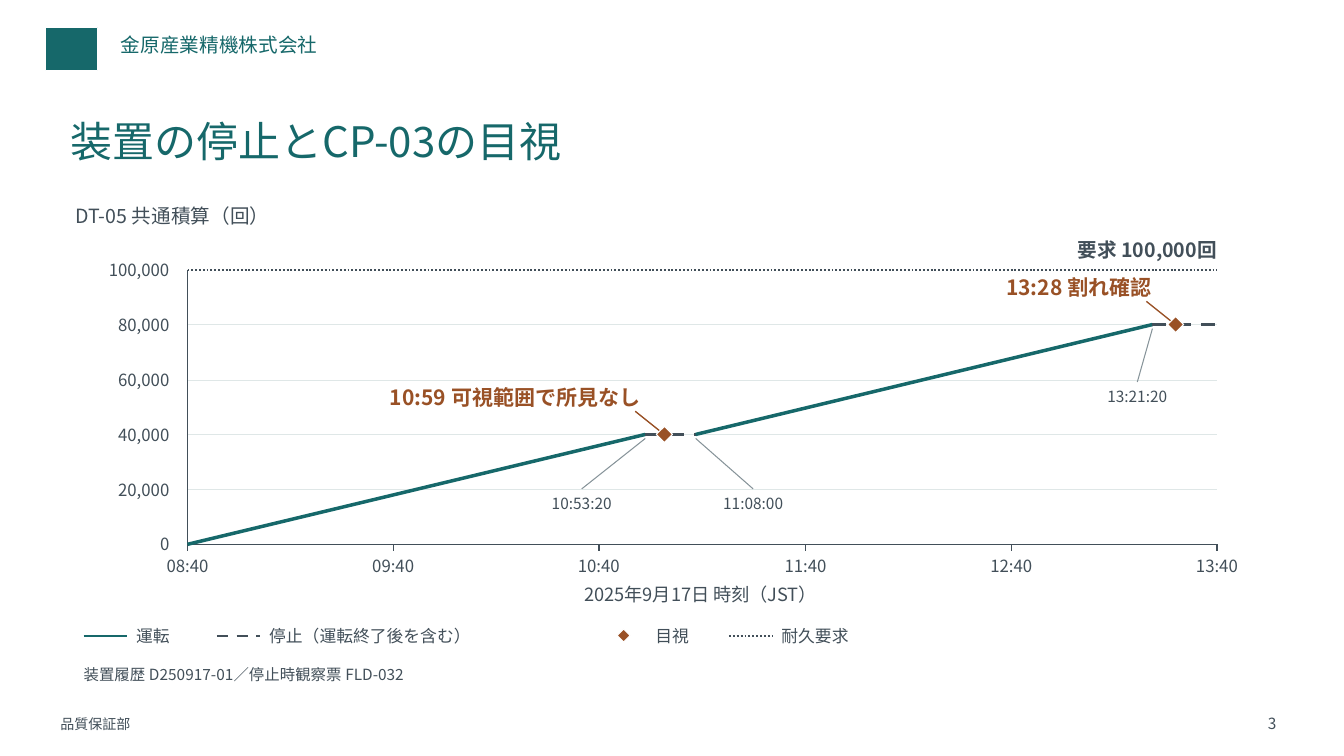
import pptx
import pptx.util
import pptx.dml.color
import pptx.enum.dml
import pptx.enum.shapes
import pptx.enum.text
import pptx.oxml
import pptx.oxml.ns

FONT = "Noto Sans CJK JP"
TEAL, SLATE, RUST = "16686A", "424F59", "995126"
GRID, LEADER, WHITE = "DFE7E7", "869399", "FFFFFF"
DASH = pptx.enum.dml.MSO_LINE.DASH
DOTS = pptx.enum.dml.MSO_LINE.ROUND_DOT
ALIGN = pptx.enum.text.PP_ALIGN
ANCHOR = pptx.enum.text.MSO_ANCHOR
SHAPES = pptx.enum.shapes.MSO_SHAPE

PX = 9144
PLOT_LEFT, PLOT_TOP, PLOT_WIDTH, PLOT_HEIGHT = 186, 268, 1021, 272
PLOT_RIGHT, PLOT_BOTTOM = PLOT_LEFT + PLOT_WIDTH, PLOT_TOP + PLOT_HEIGHT
MAX_COUNT = 100000

hours = ["08:40", "09:40", "10:40", "11:40", "12:40", "13:40"]
counts = range(0, MAX_COUNT + 1, 20000)
phases = [
    ("08:40:00", 0, "10:53:20", 40000, TEAL, None),
    ("10:53:20", 40000, "11:08:00", 40000, SLATE, DASH),
    ("11:08:00", 40000, "13:21:20", 80000, TEAL, None),
    ("13:21:20", 80000, "13:40:00", 80000, SLATE, DASH),
]
switches = [
    ("10:53:20", 40000, -63, 487),
    ("11:08:00", 40000, 57, 487),
    ("13:21:20", 80000, -15, 381),
]
inspections = [
    ("10:59", 40000, "可視範囲で所見なし"),
    ("13:28", 80000, "割れ確認"),
]
line_keys = [
    (83, "運転", 132, TEAL, 2, None),
    (215, "停止（運転終了後を含む）", 320, SLATE, 2, DASH),
    (723, "耐久要求", 132, SLATE, 1.4, DOTS),
]
captions = [
    ("装置の停止とCP-03の目視", 70, 105, 1190, 70, 30, TEAL, ALIGN.LEFT),
    ("3", 1213, 705, 53, 25, 11, SLATE, ALIGN.RIGHT),
    ("DT-05 共通積算（回）", 75, 200, 500, 27, 14, SLATE, ALIGN.LEFT),
    ("2025年9月17日 時刻（JST）", 460, 576, 470, 28, 13, SLATE, ALIGN.CENTER),
    ("目視", 650, 618, 132, 25, 12, SLATE, ALIGN.LEFT),
    ("装置履歴 D250917-01／停止時観察票 FLD-032", 83, 656, 700, 25, 11, SLATE, ALIGN.LEFT),
]
letterhead = [
    ("金原産業精機株式会社", 120, 33, 580, 35, 14, TEAL),
    ("品質保証部", 60, 710, 480, 20, 10, SLATE),
]


def emu(px):
    return round(px) * PX


def rgb(color):
    return pptx.dml.color.RGBColor.from_string(color)


def minutes(clock):
    parts = [int(part) for part in clock.split(":")] + [0]
    return parts[0] * 60 + parts[1] + parts[2] / 60


def time_x(clock):
    start, end = minutes(hours[0]), minutes(hours[-1])
    return PLOT_LEFT + PLOT_WIDTH * (minutes(clock) - start) / (end - start)


def count_y(count):
    return PLOT_BOTTOM - PLOT_HEIGHT * count / MAX_COUNT


def label(text, x, y, width, height, size, color=SLATE, align=ALIGN.LEFT,
          bold=False, anchor=ANCHOR.MIDDLE):
    box = slide.shapes.add_textbox(emu(x), emu(y), emu(width), emu(height))
    frame = box.text_frame
    frame.text = text
    frame.word_wrap = False
    frame.vertical_anchor = anchor
    frame.margin_left = frame.margin_right = frame.margin_top = frame.margin_bottom = 0
    frame.paragraphs[0].alignment = align
    for run in frame.paragraphs[0].runs:
        run.font.size = pptx.util.Pt(size)
        run.font.bold = bold
        run.font.color.rgb = rgb(color)
        run.font.name = FONT
        east_asian = pptx.oxml.parse_xml(
            f'<a:ea {pptx.oxml.ns.nsdecls("a")} typeface="{FONT}"/>')
        run.font._element.find(pptx.oxml.ns.qn("a:latin")).addnext(east_asian)


def line(x1, y1, x2, y2, color, weight, dash=None):
    stroke = slide.shapes.add_connector(
        pptx.enum.shapes.MSO_CONNECTOR.STRAIGHT, emu(x1), emu(y1), emu(x2), emu(y2))
    stroke.line.color.rgb = rgb(color)
    stroke.line.width = pptx.util.Pt(weight)
    if dash is not None:
        stroke.line.dash_style = dash
    stroke._element.spPr.append(
        pptx.oxml.parse_xml(f'<a:effectLst {pptx.oxml.ns.nsdecls("a")}/>'))


def solid(kind, x, y, width, height, color):
    shape = slide.shapes.add_shape(kind, emu(x), emu(y), emu(width), emu(height))
    shape.shadow.inherit = False
    shape.fill.solid()
    shape.fill.fore_color.rgb = rgb(color)
    shape.line.color.rgb = rgb(WHITE)
    shape.line.width = pptx.util.Pt(0.8)


def diamond(x, y, size):
    solid(SHAPES.DIAMOND, x - size / 2, y - size / 2, size, size, RUST)


deck = pptx.Presentation()
deck.slide_width, deck.slide_height = emu(1333), emu(750)
slide = deck.slides.add_slide(deck.slide_layouts[6])

solid(SHAPES.RECTANGLE, 45, 27, 52, 43, TEAL)
for text, x, y, width, height, size, color in letterhead:
    label(text, x, y, width, height, size, color, anchor=ANCHOR.TOP)
for caption in captions:
    label(*caption)

for count in counts:
    y = count_y(count)
    label(f"{count:,}", 76, y - 13, 92, 26, 12, align=ALIGN.RIGHT)
    if 0 < count < MAX_COUNT:
        line(PLOT_LEFT, y, PLOT_RIGHT, y, GRID, 0.6)

line(PLOT_LEFT, PLOT_TOP, PLOT_LEFT, PLOT_BOTTOM, SLATE, 0.9)
line(PLOT_LEFT, PLOT_BOTTOM, PLOT_RIGHT, PLOT_BOTTOM, SLATE, 0.9)
for hour in hours:
    x = time_x(hour)
    line(x, PLOT_BOTTOM, x, PLOT_BOTTOM + 7, SLATE, 0.9)
    label(hour, x - 38, PLOT_BOTTOM + 9, 76, 24, 12, align=ALIGN.CENTER)

line(PLOT_LEFT, PLOT_TOP, PLOT_RIGHT, PLOT_TOP, SLATE, 1.35, DOTS)
label("要求 100,000回", 950, 234, 257, 28, 14, align=ALIGN.RIGHT, bold=True)

for start, start_count, end, end_count, color, dash in phases:
    line(time_x(start), count_y(start_count), time_x(end), count_y(end_count),
         color, 2.5, dash)

for clock, count, shift, top in switches:
    x = time_x(clock)
    line(x, count_y(count) + 4, x + shift, top - 2, LEADER, 0.75)
    label(clock, x + shift - 45, top, 90, 24, 11, align=ALIGN.CENTER)

for clock, count, finding in inspections:
    x, y = time_x(clock), count_y(count)
    label(f"{clock} {finding}", x - 450, y - 51, 426, 28, 15, RUST, ALIGN.RIGHT, True)
    line(x - 29, y - 23, x - 4, y - 3, RUST, 0.95)
    diamond(x, y, 16)

for x, name, width, color, weight, dash in line_keys:
    line(x, 631, x + 43, 631, color, weight, dash)
    label(name, x + 52, 618, width, 25, 12)
diamond(619, 631, 13)

deck.save("out.pptx")
